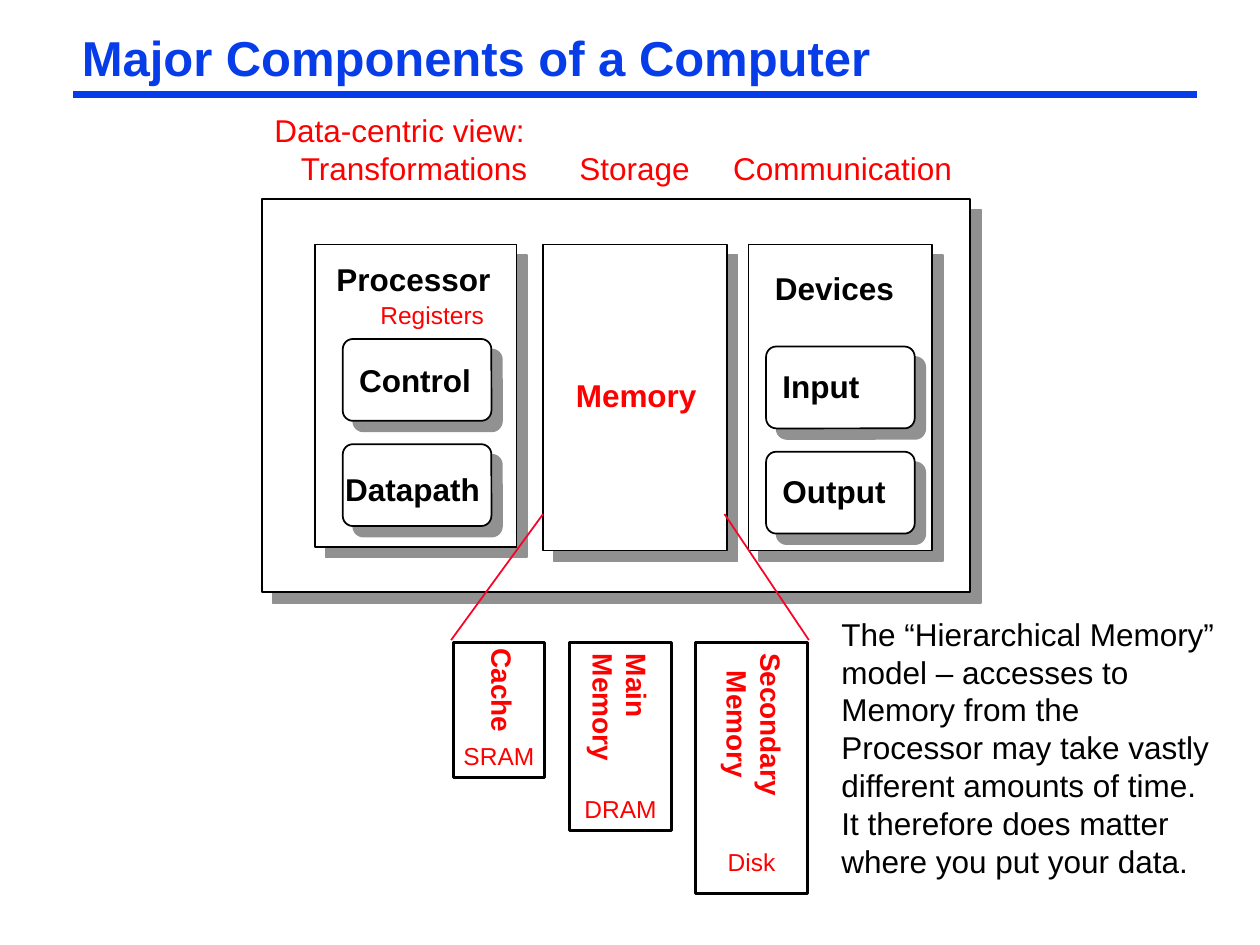
import pptx
import pptx.util
import pptx.dml.color
import pptx.enum.shapes
import pptx.enum.text
import pptx.oxml.ns
import lxml.etree

RGB = pptx.dml.color.RGBColor
BLUE = RGB(0x06, 0x3D, 0xE8)
RED = RGB(0xFF, 0, 0)
ROSE = RGB(0xFC, 0x01, 0x28)
BLACK = RGB(0, 0, 0)
WHITE = RGB(0xFF, 0xFF, 0xFF)
GREY = RGB(0x91, 0x91, 0x91)
SHAPE = pptx.enum.shapes.MSO_SHAPE
ALIGN = pptx.enum.text.PP_ALIGN
COLS = 100
TIGHT = (0.07, 0.03)
LOOSE = (0.1, 0.05)

deck = pptx.Presentation()
deck.slide_width = pptx.util.Inches(10)
deck.slide_height = pptx.util.Inches(7.5)


def unit(count):
    return round(deck.slide_width * count / COLS)


def child(parent, tag, **attrs):
    node = lxml.etree.SubElement(parent, pptx.oxml.ns.qn(tag))
    for name, value in attrs.items():
        node.set(name, str(value))
    return node


def text(slide, box, words, size=18, color=BLACK, bold=False, wrap=True,
         pad=LOOSE, gap=None, align=None, turn=0):
    item = slide.shapes.add_textbox(*map(unit, box))
    item.rotation = turn
    frame = item.text_frame
    frame.text = words
    frame.word_wrap = wrap
    frame.auto_size = pptx.enum.text.MSO_AUTO_SIZE.SHAPE_TO_FIT_TEXT
    frame.margin_left = frame.margin_right = pptx.util.Inches(pad[0])
    frame.margin_top = frame.margin_bottom = pptx.util.Inches(pad[1])
    for para in frame.paragraphs:
        para.alignment = align
        para.line_spacing = gap
        for run in para.runs:
            font = run.font
            font.name, font.size, font.bold = "Arial", pptx.util.Pt(size), bold
            font.color.rgb = color
    return frame


def label(slide, box, words, color=BLACK):
    text(slide, box, words, color=color, bold=True, wrap=False, pad=TIGHT, gap=0.85)


def line(slide, start, end, color, width):
    kind = pptx.enum.shapes.MSO_CONNECTOR.STRAIGHT
    item = slide.shapes.add_connector(kind, *map(unit, start + end))
    item.line.color.rgb = color
    item.line.width = pptx.util.Pt(width)
    child(item._element.spPr, "a:effectLst")


def frame(slide, box, kind=SHAPE.RECTANGLE, width=1):
    item = slide.shapes.add_shape(kind, *map(unit, box))
    item.line.color.rgb = BLACK
    item.line.width = pptx.util.Pt(width)
    item.shadow.inherit = False
    return item


def card(slide, box, kind=SHAPE.RECTANGLE):
    item = frame(slide, box, kind)
    item.fill.solid()
    item.fill.fore_color.rgb = WHITE
    if kind == SHAPE.ROUNDED_RECTANGLE:
        item.adjustments[0] = 0.125
    glow = item._element.spPr.find(pptx.oxml.ns.qn("a:effectLst"))
    shade = child(glow, "a:outerShdw", blurRad=0, dist=pptx.util.Pt(8.5),
                  dir=45 * 60000, algn="ctr", rotWithShape=0)
    child(shade, "a:srgbClr", val=GREY)


def header(slide, box):
    x, y, w, h = box
    line(slide, (x, y + h), (x + w, y + h), BLUE, 4.5)
    text(slide, (x, y, 81, 4.6), "Major Components of a Computer", 28, BLUE,
         bold=True, wrap=False, pad=TIGHT, gap=0.87)


def views(slide, box):
    words = "Data-centric view:\n\tTransformations\tStorage\tCommunication"
    body = text(slide, box, words, color=RED)
    tabs = child(body.paragraphs[1]._p.get_or_add_pPr(), "a:tabLst")
    for stop in (2.1, 24.2, 36.4):
        child(tabs, "a:tab", pos=unit(stop), algn="l")


def panel(slide, box, title, spot, first, parts):
    x, y, w, h = box
    card(slide, box)
    dx, dy, wide = spot
    label(slide, (x + dx, y + dy, wide, 3.1), title)
    for row, (name, lx, ly, wide) in enumerate(parts):
        left, top = x + first[0], y + first[1] + 8.35 * row
        card(slide, (left, top, 11.8, 6.5), SHAPE.ROUNDED_RECTANGLE)
        label(slide, (left + lx, top + ly, wide, 3.1), name)


def machine(slide, box):
    x, y, w, h = box
    card(slide, box)
    top = y + 3.6
    panel(slide, (x + 4.2, top, 16, 24), "Processor", (1, 1.4, 14.4), (2.2, 7.5),
          [("Control", 0.6, 1.9, 10.8), ("Datapath", -0.5, 2.2, 12.6)])
    text(slide, (x + 8.4, y + 7.5, 10.8, 3.4), "Registers", 14, RED)
    card(slide, (x + 22.3, top, 14.6, 24.3))
    label(slide, (x + 24.2, y + 14.2, 11.8, 3.2), "Memory", RED)
    panel(slide, (x + 38.6, top, 14.6, 24.3), "Devices", (1.4, 2.1, 11.8), (1.4, 8.1),
          [("Input", 0.6, 1.8, 8.5), ("Output", 0.6, 1.8, 10.4)])


def level(slide, box, name, spot, kind, rise, wrap=True, align=None):
    x, y, w, h = box
    frame(slide, box, width=2).fill.background()
    dx, dy, wide, tall = spot
    text(slide, (x + dx, y + dy, wide, tall), name, 16, RED, bold=True,
         wrap=wrap, align=align, turn=90)
    text(slide, (x + w / 2 - 4.6, y + h - rise, 9.2, 3.4), kind, 14, RED,
         align=ALIGN.CENTER)


def levels(slide, box):
    x, y, w, h = box
    level(slide, (x, y, 7.2, 10.7), "Cache", (-0.5, 2, 8.7, 3.7), "SRAM", 3.4, wrap=False)
    level(slide, (x + 9.2, y, 8.1, 14.9), "Main Memory", (-1.4, 2.1, 10.8, 6.4), "DRAM", 3.4)
    level(slide, (x + 19.2, y, 8.9, h), "Secondary Memory", (-2, 3.3, 13.3, 6.4),
          "Disk", 4.2, align=ALIGN.CENTER)
    line(slide, (x + 7.1, y - 10.2), (x - 0.2, y - 0.2), ROSE, 1)
    line(slide, (x + 21.5, y - 10.2), (x + w + 0.1, y - 0.2), ROSE, 1)


def note(slide, box):
    text(slide, box, "The “Hierarchical Memory” model – accesses to Memory from the "
         "Processor may take vastly different amounts of time. "
         "It therefore does matter where you put your data.")


page = deck.slides.add_slide(deck.slide_layouts[6])
header(page, (5.8, 2.5, 89.2, 5))
machine(page, (20.8, 15.8, 56.2, 31.2))
levels(page, (36, 51, 28.1, 19.9))
views(page, (20.8, 8.3, 55.8, 7.1))
note(page, (65.8, 48.3, 31.7, 22.2))
deck.save("out.pptx")
